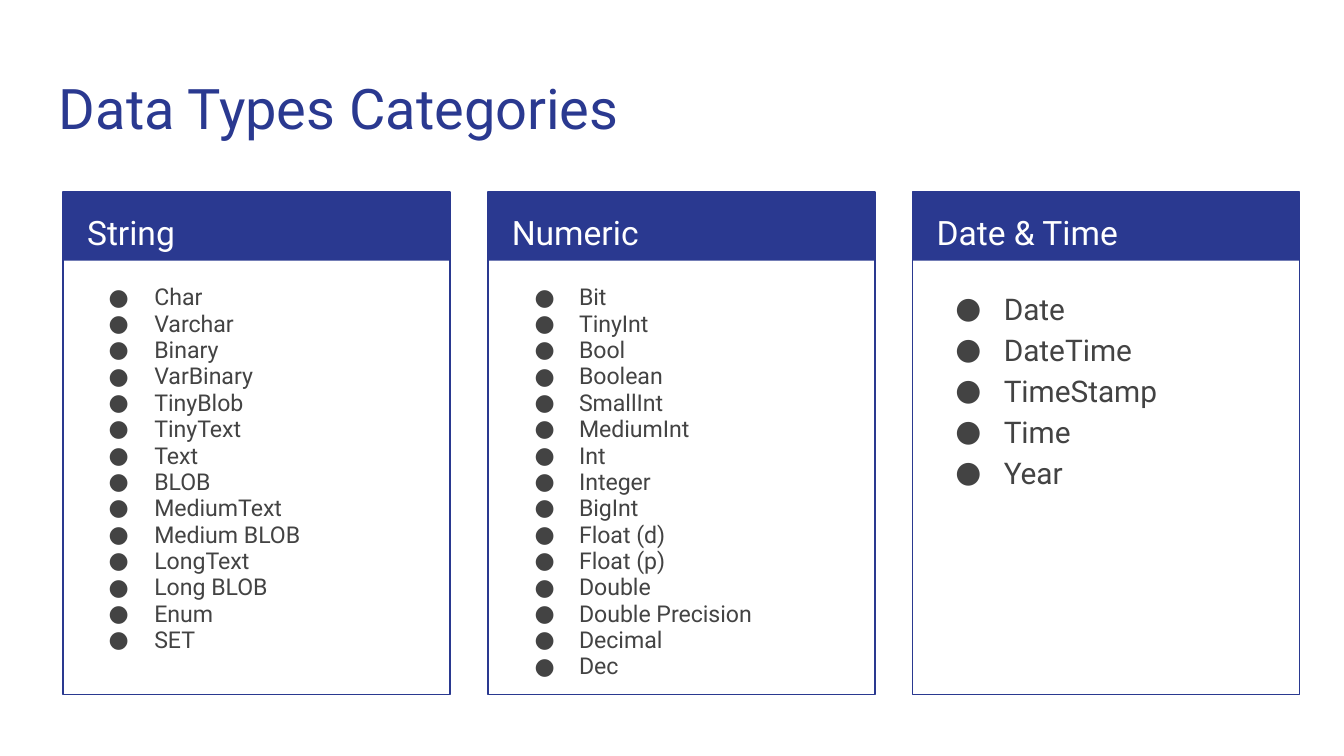
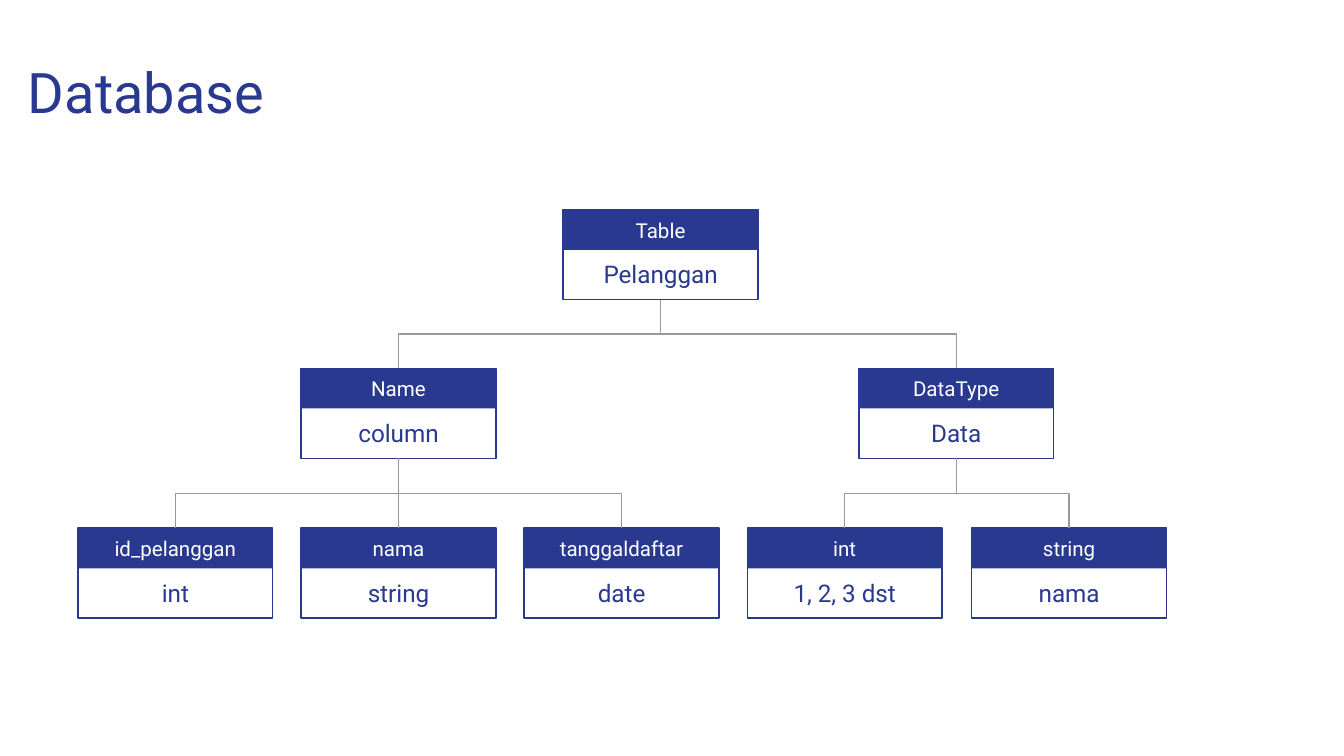
from lxml.etree import SubElement
from pptx import Presentation
from pptx.dml.color import RGBColor
from pptx.enum.shapes import MSO_CONNECTOR as LinkType, MSO_SHAPE as ShapeType
from pptx.enum.text import MSO_ANCHOR as Anchor, PP_ALIGN as Align
from pptx.oxml.ns import qn
from pptx.util import Inches, Pt

FONT = "Roboto"
NAVY = "2A3990"
DARK = "434343"
GREY = "999999"
WHITE = "FFFFFF"
rgb = RGBColor.from_string


def add_box(slide, left, top, width, height, fill=None, line=None):
    box = slide.shapes.add_shape(ShapeType.RECTANGLE, Inches(left), Inches(top),
                                 Inches(width), Inches(height))
    box.shadow.inherit = False
    if fill:
        box.fill.solid()
        box.fill.fore_color.rgb = rgb(fill)
    else:
        box.fill.background()
    if line:
        box.line.color.rgb = rgb(line)
        box.line.width = Pt(0.75)
    else:
        box.line.fill.background()


def add_text(slide, left, top, width, height, lines, size, color,
             spacing=1.0, centred=False, bullet_indent=None):
    """Write one paragraph per line; bullet_indent is the hanging indent in inches."""
    frame = slide.shapes.add_textbox(Inches(left), Inches(top),
                                     Inches(width), Inches(height)).text_frame
    frame.word_wrap = True
    frame.margin_left = frame.margin_right = Inches(0.1)
    frame.margin_top = frame.margin_bottom = Inches(0.1)
    frame.vertical_anchor = Anchor.MIDDLE if centred else Anchor.TOP
    for number, line in enumerate(lines):
        paragraph = frame.add_paragraph() if number else frame.paragraphs[0]
        paragraph.alignment = Align.CENTER if centred else Align.LEFT
        paragraph.line_spacing = spacing
        if bullet_indent:
            props = paragraph._p.get_or_add_pPr()
            props.set("marL", str(Inches(0.5)))
            props.set("indent", str(-Inches(bullet_indent)))
            bullet_color = SubElement(props, qn("a:buClr"))
            SubElement(bullet_color, qn("a:srgbClr"), val=color)
            SubElement(props, qn("a:buFont"), typeface=FONT)
            SubElement(props, qn("a:buChar"), char="●")
        run = paragraph.add_run()
        run.text = line
        run.font.name = FONT
        run.font.size = Pt(size)
        run.font.color.rgb = rgb(color)


prs = Presentation()
prs.slide_width = Inches(10)
prs.slide_height = Inches(5.625)

slides = []
for title, left, top in [("Data Types Categories", 0.34, 0.45),
                         ("Database", 0.11, 0.33)]:
    slide = prs.slides.add_slide(prs.slide_layouts[6])
    add_text(slide, left, top, 9.32, 0.66, [title], 30, NAVY)
    slides.append(slide)
categories_slide, database_slide = slides

# Three cards of data types
CARD_TOP, CARD_WIDTH, CARD_PITCH = 1.43, 2.88, 3.16
categories = [
    ("String", ["Char", "Varchar", "Binary", "VarBinary", "TinyBlob", "TinyText",
                "Text", "BLOB", "MediumText", "Medium BLOB", "LongText",
                "Long BLOB", "Enum", "SET"], 12.4, 0.95, 0.34),
    ("Numeric", ["Bit", "TinyInt", "Bool", "Boolean", "SmallInt", "MediumInt",
                 "Int", "Integer", "BigInt", "Float (d)", "Float (p)", "Double",
                 "Double Precision", "Decimal", "Dec"], 12.4, 0.95, 0.33),
    ("Date & Time", ["Date", "DateTime", "TimeStamp", "Time", "Year"],
     16, 1.15, 0.36),
]
for column, (category, types, size, spacing, indent) in enumerate(categories):
    left = 0.47 + column * CARD_PITCH
    add_box(categories_slide, left, CARD_TOP, CARD_WIDTH, 0.51, fill=NAVY)
    add_box(categories_slide, left, CARD_TOP, CARD_WIDTH, 3.74, line=NAVY)
    add_text(categories_slide, left + 0.08, CARD_TOP, 2.73, 0.5, [category],
             18, WHITE, spacing=1.15)
    add_text(categories_slide, left + 0.08, 2.02, 2.71, 3.06, types, size, DARK,
             spacing=spacing, bullet_indent=indent)

# Tree of the table, its columns and its data types
NODE_WIDTH, NODE_HEIGHT = 1.45, 0.67
LEVEL_TOPS = [1.56, 2.74, 3.93]
# heading, value, left, level, index of the parent node
nodes = [
    ("Table", "Pelanggan", 4.19, 0, None),
    ("Name", "column", 2.24, 1, 0),
    ("DataType", "Data", 6.39, 1, 0),
    ("id_pelanggan", "int", 0.58, 2, 1),
    ("nama", "string", 2.24, 2, 1),
    ("tanggaldaftar", "date", 3.9, 2, 1),
    ("int", "1, 2, 3 dst", 5.56, 2, 2),
    ("string", "nama", 7.23, 2, 2),
]
for heading, value, left, level, parent in nodes:
    top = LEVEL_TOPS[level]
    add_box(database_slide, left, top, NODE_WIDTH, NODE_HEIGHT, line=NAVY)
    add_box(database_slide, left, top, NODE_WIDTH, 0.3, fill=NAVY)
    add_text(database_slide, left, top + 0.06, NODE_WIDTH, 0.18, [heading],
             11, WHITE, centred=True)
    add_text(database_slide, left, top + 0.39, NODE_WIDTH, 0.18, [value],
             13, NAVY, centred=True)
    if parent is None:
        continue

    start_x = nodes[parent][2] + NODE_WIDTH / 2
    start_y = LEVEL_TOPS[level - 1] + NODE_HEIGHT
    end_x = left + NODE_WIDTH / 2
    if start_x == end_x:
        link = database_slide.shapes.add_connector(
            LinkType.STRAIGHT, Inches(start_x), Inches(start_y),
            Inches(end_x), Inches(top))
    else:
        # A quarter turn about the middle makes the elbow leave downwards
        mid_x, mid_y = (start_x + end_x) / 2, (start_y + top) / 2
        half_drop = (top - start_y) / 2
        half_reach = abs(end_x - start_x) / 2
        side = 1 if end_x > start_x else -1
        link = database_slide.shapes.add_connector(
            LinkType.ELBOW,
            Inches(mid_x + side * half_drop), Inches(mid_y - half_reach),
            Inches(mid_x - side * half_drop), Inches(mid_y + half_reach))
        turn = 270 if side == 1 else 90
        link._element.spPr.find(qn("a:xfrm")).set("rot", str(turn * 60000))
    link.line.color.rgb = rgb(GREY)
    link.line.width = Pt(0.75)
    SubElement(link._element.spPr, qn("a:effectLst"))

prs.save("out.pptx")
